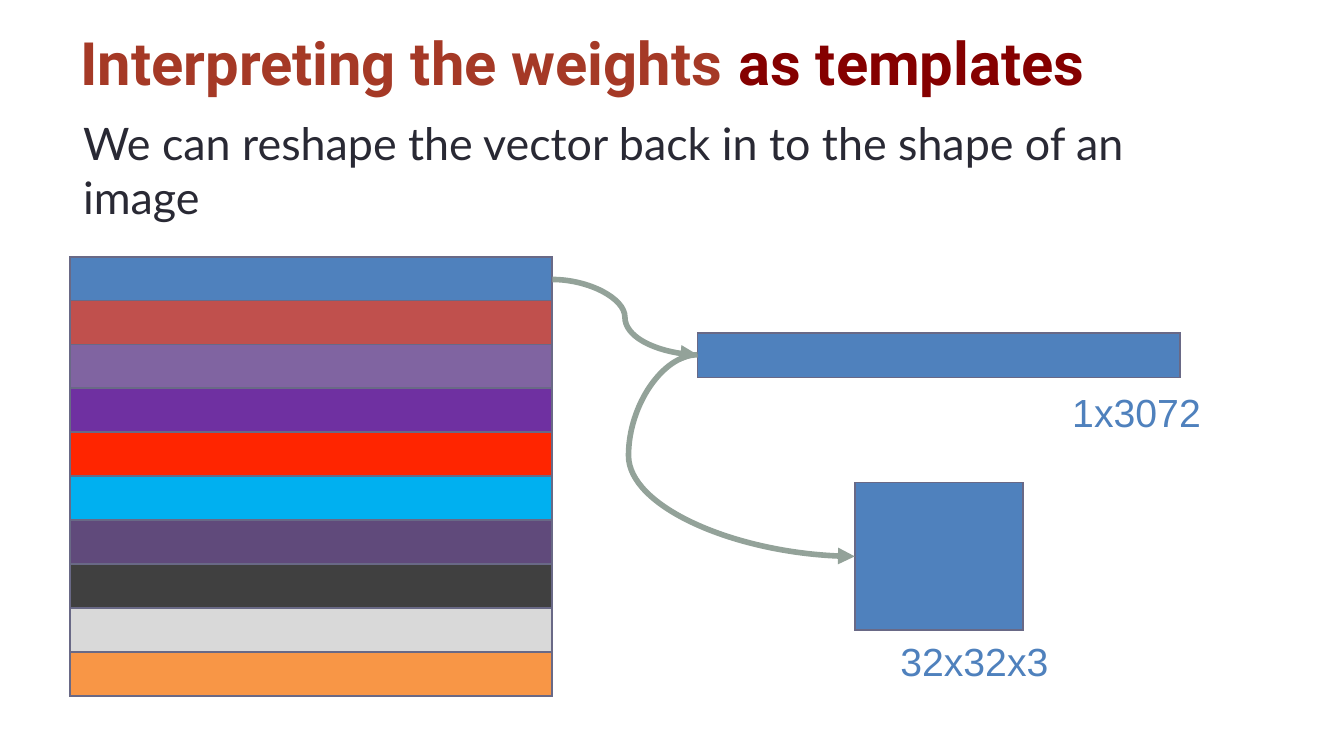
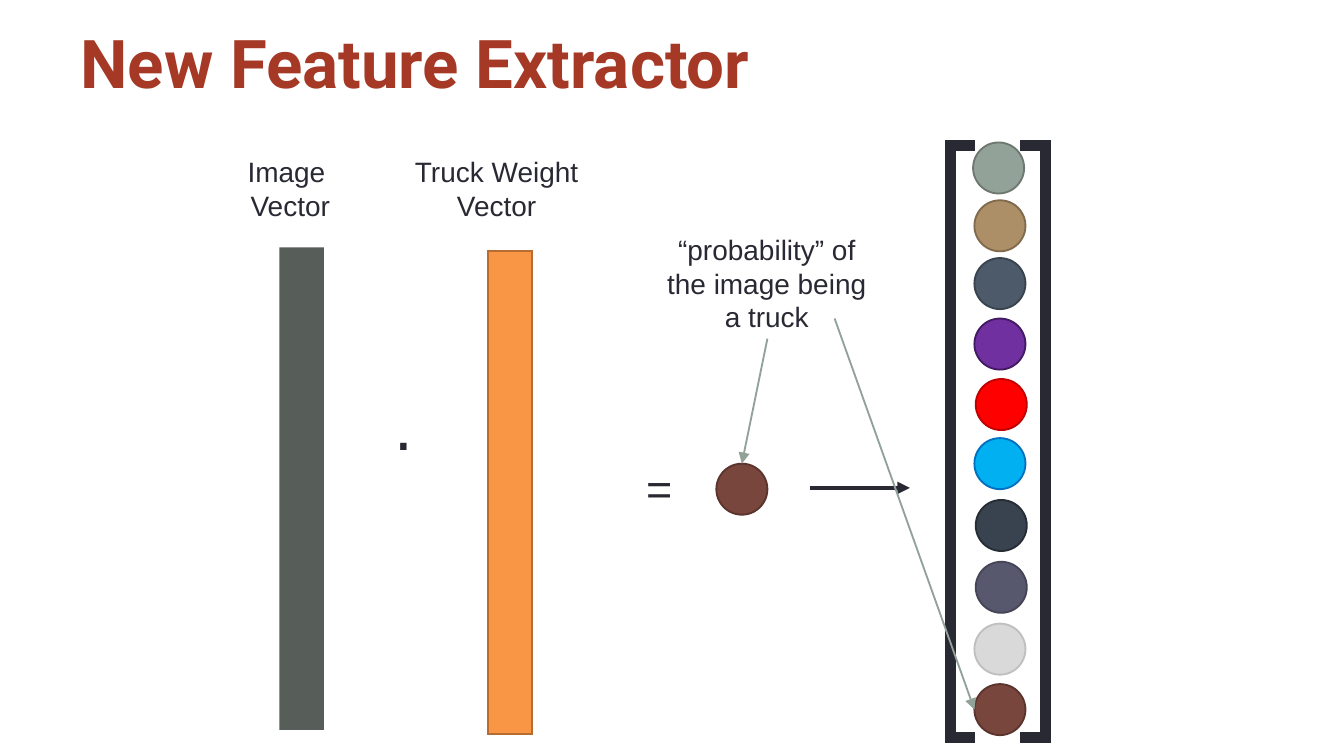
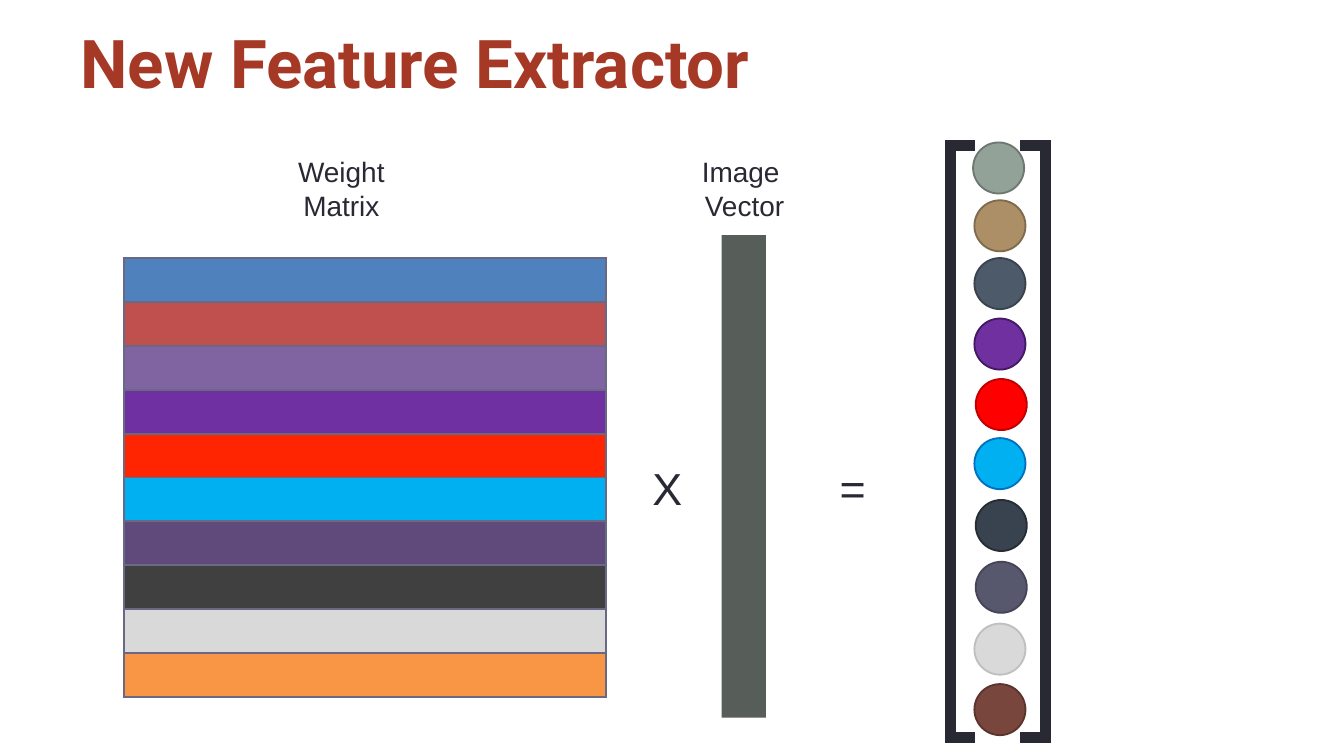
from lxml.etree import SubElement
from pptx import Presentation
from pptx.dml.color import RGBColor
from pptx.enum.shapes import MSO_CONNECTOR, MSO_SHAPE
from pptx.enum.text import MSO_ANCHOR, MSO_AUTO_SIZE, PP_ALIGN
from pptx.oxml.ns import qn
from pptx.util import Inches, Pt

COLORS = {
    "title": "A53926", "title_accent": "850000", "ink": "292934",
    "white": "FFFFFF", "arrow": "93A299", "row_edge": "696986",
    "image": "575D59", "first_class": "4F81BD",
    "truck": "F89646", "truck_edge": "B76D31",
    "score": "79463D", "score_edge": "5A342D",
}
WEIGHT_ROWS = [COLORS["first_class"], "C0504D", "8064A1", "6F30A1", "FF2500",
               "00B0F0", "604A7B", "404040", "D9D9D9", COLORS["truck"]]
# Offsets from the left and top of the bracket, fill, edge
SCORES = [
    (0.17, -0.02, "93A299", "6D7871"), (0.18, 0.41, "AD8F67", "806A4C"),
    (0.18, 0.84, "4C5A6A", "38434E"), (0.18, 1.29, "7030A0", "421962"),
    (0.19, 1.74, "FF0000", "C00000"), (0.18, 2.18, "00B0F0", "0070C0"),
    (0.19, 2.64, "394350", "262D35"), (0.19, 3.10, "57576E", "454557"),
    (0.18, 3.56, "D9D9D9", "BFBFBF"),
    (0.18, 4.01, COLORS["score"], COLORS["score_edge"]),
]
VECTOR_LENGTH, VECTOR_WIDTH, SCORE_SIZE = 3.59, 0.33, 0.38


def add_figure(slide, kind, box, fill=None, edge=None, edge_width=1):
    figure = slide.shapes.add_shape(kind, *map(Inches, box))
    figure.shadow.inherit = False
    if fill:
        figure.fill.solid()
        figure.fill.fore_color.rgb = RGBColor.from_string(fill)
    else:
        figure.fill.background()
    if edge:
        figure.line.color.rgb = RGBColor.from_string(edge)
        figure.line.width = Pt(edge_width)
        SubElement(figure.line._get_or_add_ln(), qn("a:miter"), lim="800000")
    else:
        figure.line.fill.background()
    return figure


def add_text(slide, box, lines, size, color, font="Arial", bold=False,
             anchor=MSO_ANCHOR.TOP, wrap=True):
    text_frame = slide.shapes.add_textbox(*map(Inches, box)).text_frame
    text_frame.word_wrap = wrap
    text_frame.vertical_anchor = anchor
    text_frame.text = "\n".join(lines)
    for paragraph in text_frame.paragraphs:
        for run in paragraph.runs:
            run.font.name = font
            run.font.size = Pt(size)
            run.font.bold = bold
            run.font.color.rgb = RGBColor.from_string(color)
    return text_frame


def add_caption(slide, box, *lines, size=15, anchor=MSO_ANCHOR.TOP):
    """Add a centred label or operator with narrow margins."""
    text_frame = add_text(slide, box, lines, size, COLORS["ink"], anchor=anchor)
    text_frame.auto_size = MSO_AUTO_SIZE.SHAPE_TO_FIT_TEXT
    text_frame.margin_left = text_frame.margin_right = Inches(0.07)
    text_frame.margin_top = text_frame.margin_bottom = Inches(0.04)
    for paragraph in text_frame.paragraphs:
        paragraph.alignment = PP_ALIGN.CENTER


def add_operator(slide, box, sign, size=24):
    add_caption(slide, box, sign, size=size, anchor=MSO_ANCHOR.MIDDLE)


def add_arrow(slide, start, end, color=COLORS["arrow"], width=1,
              kind=MSO_CONNECTOR.STRAIGHT, bend=None):
    """Add an arrow; bend moves the middle of a curve, in 1/100000 of its width."""
    arrow = slide.shapes.add_connector(kind, *map(Inches, (*start, *end)))
    arrow.line.color.rgb = RGBColor.from_string(color)
    arrow.line.width = Pt(width)
    SubElement(arrow.line._get_or_add_ln(), qn("a:tailEnd"), type="triangle")
    properties = arrow._element.spPr
    SubElement(properties, qn("a:effectLst"))
    if bend is not None:
        guides = properties.find(qn("a:prstGeom")).get_or_add_avLst()
        SubElement(guides, qn("a:gd"), name="adj1", fmla=f"val {bend}")


def add_title(slide, title, size=36, accent=""):
    text_frame = add_text(slide, (0.5, 0.16, 9, 0.59), [title], size,
                          COLORS["title"], "Roboto", True, MSO_ANCHOR.MIDDLE)
    if accent:
        run = text_frame.paragraphs[0].add_run()
        run.text = accent
        run.font.name, run.font.size, run.font.bold = "Roboto", Pt(size), True
        run.font.color.rgb = RGBColor.from_string(COLORS["title_accent"])


def add_lying_block(slide, left, top, length, height, fill):
    """Add an upright block turned a quarter, so that it covers the given box."""
    shift = (length - height) / 2
    block = add_figure(slide, MSO_SHAPE.RECTANGLE,
                       (left + shift, top - shift, height, length),
                       fill, COLORS["row_edge"])
    block.rotation = 90


def add_weight_matrix(slide, left, top, height=3.27):
    pitch = (height - VECTOR_WIDTH) / (len(WEIGHT_ROWS) - 1)
    for index, fill in enumerate(WEIGHT_ROWS):
        add_lying_block(slide, left, top + index * pitch,
                        VECTOR_LENGTH, VECTOR_WIDTH, fill)


def add_vector(slide, left, top, fill, edge=None):
    add_figure(slide, MSO_SHAPE.RECTANGLE,
               (left, top, VECTOR_WIDTH, VECTOR_LENGTH), fill, edge)


def add_score(slide, left, top, fill, edge):
    add_figure(slide, MSO_SHAPE.OVAL, (left, top, SCORE_SIZE, SCORE_SIZE), fill, edge)


def add_score_vector(slide, left=7.07, top=1.08, width=0.71, height=4.41):
    """Add the bracketed column of class scores."""
    add_figure(slide, MSO_SHAPE.RECTANGLE, (left, top, width, height),
               edge=COLORS["ink"], edge_width=6)
    add_figure(slide, MSO_SHAPE.RECTANGLE,
               (left + 0.19, top - 0.21, 0.32, height + 0.31),
               COLORS["white"], COLORS["white"])
    for indent, offset, fill, edge in SCORES:
        add_score(slide, left + indent, top + offset, fill, edge)


def build_templates_slide(slide):
    add_title(slide, "Interpreting the weights ", 32, "as templates")
    add_text(slide, (0.52, 0.81, 8.65, 3.71),
             ["We can reshape the vector back in to the shape of an image"],
             24, COLORS["ink"], "Lato")
    add_weight_matrix(slide, 0.52, 1.91)
    blue = COLORS["first_class"]
    add_lying_block(slide, 5.19, 2.48, VECTOR_LENGTH, VECTOR_WIDTH, blue)
    add_lying_block(slide, 6.36, 3.59, 1.25, 1.1, blue)
    row_end, vector_start, template_start = (4.11, 2.08), (5.19, 2.64), (6.36, 4.14)
    add_arrow(slide, row_end, vector_start, width=3, kind=MSO_CONNECTOR.CURVE)
    add_arrow(slide, vector_start, template_start, width=3,
              kind=MSO_CONNECTOR.CURVE, bend=-43900)
    for box, size_label in (((7.88, 2.84, 1.16, 0.45), "1x3072"),
                            ((6.6, 4.69, 1.31, 0.45), "32x32x3")):
        add_text(slide, box, [size_label], 21, blue, wrap=False)


def build_truck_slide(slide):
    add_title(slide, "New Feature Extractor")
    add_vector(slide, 3.63, 1.87, COLORS["truck"], COLORS["truck_edge"])
    add_vector(slide, 2.08, 1.84, COLORS["image"])
    add_caption(slide, (1.57, 1.11, 1.18, 0.58), "Image ", "Vector")
    add_caption(slide, (2.77, 1.11, 1.85, 0.58), "Truck Weight Vector")
    add_operator(slide, (2.75, 2.81, 0.51, 0.68), ".", 36)
    add_operator(slide, (4.69, 3.39, 0.43, 0.48), "=")
    add_score_vector(slide)
    add_score(slide, 5.33, 3.45, COLORS["score"], COLORS["score_edge"])
    add_caption(slide, (4.81, 1.69, 1.79, 0.83),
                "“probability” of the image being a truck")
    add_arrow(slide, (6.03, 3.63), (6.77, 3.63), COLORS["ink"], 2.25)
    add_arrow(slide, (5.71, 2.52), (5.52, 3.45))
    add_arrow(slide, (6.21, 2.37), (7.25, 5.28))


def build_matrix_slide(slide):
    add_title(slide, "New Feature Extractor")
    add_weight_matrix(slide, 0.92, 1.92)
    add_vector(slide, 5.37, 1.75, COLORS["image"])
    add_score_vector(slide)
    add_operator(slide, (4.75, 3.39, 0.43, 0.48), "X")
    add_operator(slide, (6.13, 3.39, 0.43, 0.48), "=")
    add_caption(slide, (1.95, 1.11, 1.18, 0.58), "Weight Matrix")
    add_caption(slide, (4.95, 1.11, 1.18, 0.58), "Image ", "Vector")


def main():
    presentation = Presentation()
    presentation.slide_width = Inches(10)
    presentation.slide_height = Inches(10 * 9 / 16)
    blank = presentation.slide_layouts[6]
    for build in (build_templates_slide, build_truck_slide, build_matrix_slide):
        build(presentation.slides.add_slide(blank))
    presentation.save("out.pptx")


if __name__ == "__main__":
    main()
